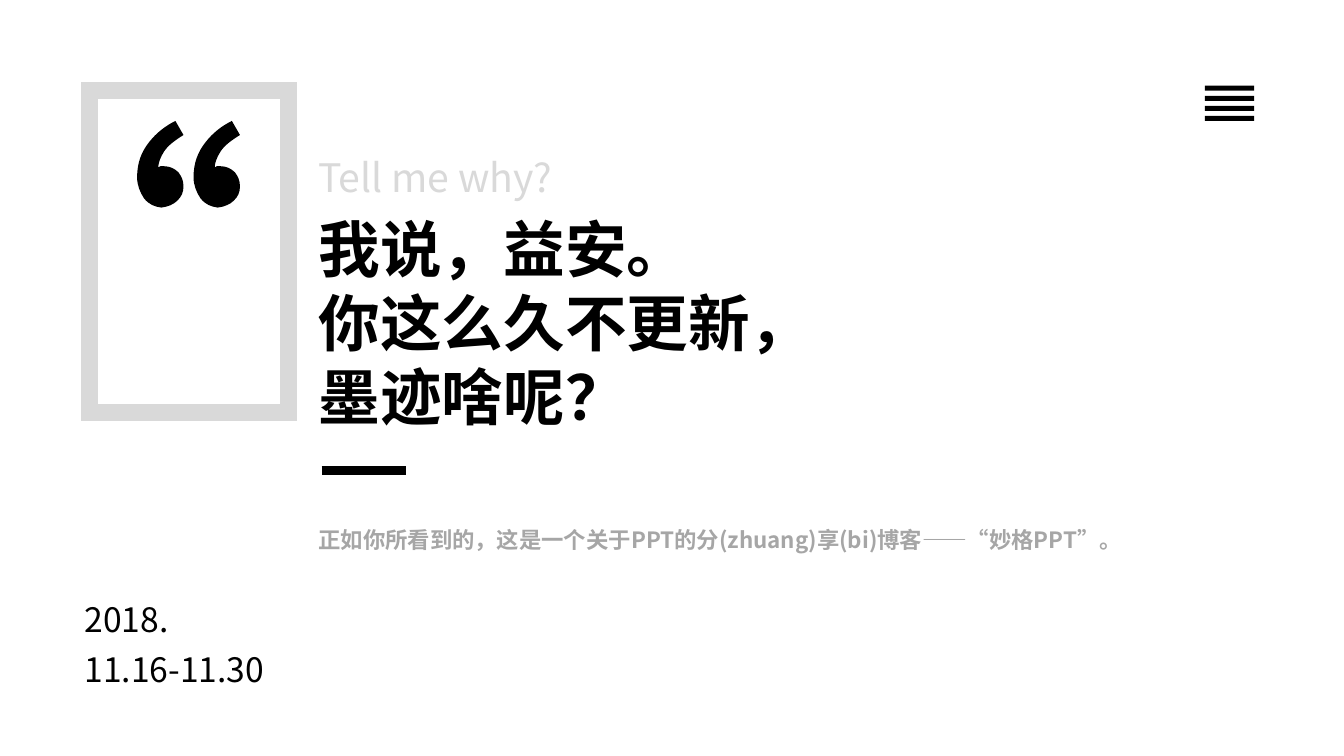
from dataclasses import dataclass

from lxml.etree import SubElement
from pptx import Presentation
from pptx.dml.color import RGBColor
from pptx.enum.shapes import MSO_CONNECTOR, MSO_SHAPE
from pptx.enum.text import MSO_ANCHOR, MSO_AUTO_SIZE, PP_ALIGN
from pptx.oxml.ns import qn
from pptx.util import Inches, Pt


@dataclass(frozen=True)
class Theme:
    font: str = "Noto Sans CJK SC"
    ink: RGBColor = RGBColor(0, 0, 0)
    pale: RGBColor = RGBColor(0xD9, 0xD9, 0xD9)
    gray: RGBColor = RGBColor(0xA6, 0xA6, 0xA6)
    head: int = 44
    lead: int = 28
    date: int = 24
    note: int = 16


THEME = Theme()
WIDE, HIGH = 13.33, 7.5

# One quote mark in inches from its box: start, line end, then curves
START = (0.38, 0)
NOTCH = (0.46, 0.14)
CURVES = [
    ((0.38, 0.19), (0.31, 0.24), (0.27, 0.3)),
    ((0.23, 0.36), (0.21, 0.42), (0.21, 0.46)),
    ((0.21, 0.46), (0.22, 0.46), (0.23, 0.45)),
    ((0.24, 0.45), (0.25, 0.45), (0.27, 0.45)),
    ((0.32, 0.45), (0.37, 0.47), (0.41, 0.51)),
    ((0.44, 0.55), (0.46, 0.59), (0.46, 0.65)),
    ((0.46, 0.71), (0.44, 0.75), (0.4, 0.79)),
    ((0.36, 0.83), (0.31, 0.85), (0.24, 0.86)),
    ((0.17, 0.85), (0.12, 0.83), (0.07, 0.77)),
    ((0.03, 0.71), (0, 0.64), (0, 0.56)),
    ((0, 0.42), (0.04, 0.31), (0.12, 0.21)),
    ((0.19, 0.12), (0.28, 0.05), START),
]


def paint(shape, fill=None, line=None, width=0):
    shape.shadow.inherit = False
    if fill is None:
        shape.fill.background()
    else:
        shape.fill.solid()
        shape.fill.fore_color.rgb = fill
    if line is None:
        shape.line.fill.background()
    else:
        shape.line.color.rgb = line
        shape.line.width = Pt(width)
        edge = shape._element.spPr.find(qn("a:ln"))
        SubElement(edge, qn("a:miter")).set("lim", "800000")


def place(shape, box):
    for name, size in zip(("left", "top", "width", "height"), box):
        setattr(shape, name, Inches(size))


def write(shape, lines, size, color, bold=False, space=None, wrap=True):
    frame = shape.text_frame
    form = {"word_wrap": wrap, "auto_size": MSO_AUTO_SIZE.SHAPE_TO_FIT_TEXT,
            "vertical_anchor": MSO_ANCHOR.TOP}
    for name, value in form.items():
        setattr(frame, name, value)
    frame.text = "\n".join(lines)
    for para in frame.paragraphs:
        para.alignment = PP_ALIGN.LEFT
        para.line_spacing = space
        face = {"name": THEME.font, "size": Pt(size), "bold": bold}
        for run in para.runs:
            for name, value in face.items():
                setattr(run.font, name, value)
            run.font.color.rgb = color
            east = SubElement(run.font._element, qn("a:ea"))
            east.set("typeface", THEME.font)


def label(slide, box, *args, **form):
    shape = slide.shapes.add_textbox(*map(Inches, box))
    write(shape, *args, **form)


def bend(shape, count):
    """Turn the segments after each notch into cubic curves, three by three."""
    segs = list(shape._element.iter(qn("a:lnTo")))
    size = 1 + 3 * count
    for base in range(0, len(segs), size):
        for spot in range(base + 1, base + size, 3):
            first, *rest = segs[spot:spot + 3]
            first.tag = qn("a:cubicBezTo")
            for seg in rest:
                first.append(seg[0])
                seg.getparent().remove(seg)


def quote(slide, box):
    left, top, width, height = box
    # Gray frame
    frame = slide.shapes.add_shape(MSO_SHAPE.RECTANGLE, *map(Inches, box))
    paint(frame, line=THEME.pale, width=12)
    # Pair of marks in one outline
    dots = [START, NOTCH, *(dot for trio in CURVES for dot in trio)]
    x, y = left + 0.47, top + 0.3
    pen = None
    for shift in (0.56, 0):
        spots = [(Inches(x + shift + a), Inches(y + b)) for a, b in dots]
        if pen is None:
            pen = slide.shapes.build_freeform(*spots[0])
        else:
            pen.move_to(*spots[0])
        pen.add_line_segments(spots[1:], close=True)
    marks = pen.convert_to_shape()
    bend(marks, len(CURVES))
    paint(marks, fill=THEME.ink)


def menu(slide, box, count=4):
    left, top, width, height = box
    pitch = height / (count - 0.5)
    group = slide.shapes.add_group_shape()
    for row in range(count):
        bar = group.shapes.add_shape(
            MSO_SHAPE.RECTANGLE, Inches(left), Inches(top + row * pitch),
            Inches(width), Inches(pitch / 2))
        paint(bar, fill=THEME.ink)


def story(slide, box):
    left, top, width, height = box
    # Lead-in and headline
    label(slide, (left, top, 2.77, 0.57), ["Tell me why?"],
          THEME.lead, THEME.pale, wrap=False)
    title = slide.shapes.title
    place(title, (left, top + 0.57, 8.4, 2.32))
    write(title, ["我说，益安。", "你这么久不更新，", "墨迹啥呢？"],
          THEME.head, THEME.ink, bold=True)
    # Short rule
    x, y = left + 0.13, top + 3.2
    rule = slide.shapes.add_connector(
        MSO_CONNECTOR.STRAIGHT, *map(Inches, (x, y, x + 0.84, y)))
    rule.line.color.rgb = THEME.ink
    rule.line.width = Pt(6)
    SubElement(rule._element.spPr, qn("a:effectLst"))
    # Note
    label(slide, (left, top + height - 0.87, width, 0.87),
          ["正如你所看到的，这是一个关于PPT的分(zhuang)享(bi)博客——“妙格PPT”。"],
          THEME.note, THEME.gray, bold=True, space=1.5)


def dates(slide, box):
    left, top, width, height = box
    lines = [("2018.", 1.1), ("11.16-11.30", width)]
    step = height / len(lines)
    for row, (line, wide) in enumerate(lines):
        label(slide, (left, top + row * step, wide, step), [line],
              THEME.date, THEME.ink, wrap=False)


def main():
    deck = Presentation()
    deck.slide_width, deck.slide_height = Inches(WIDE), Inches(HIGH)
    slide = deck.slides.add_slide(deck.slide_layouts[5])
    quote(slide, (0.89, 0.9, 1.97, 3.19))
    menu(slide, (11.95, 0.85, 0.49, 0.35))
    story(slide, (3.06, 1.47, 9.39, 4.44))
    dates(slide, (0.74, 5.89, 2.13, 1))
    deck.save("out.pptx")


if __name__ == "__main__":
    main()
